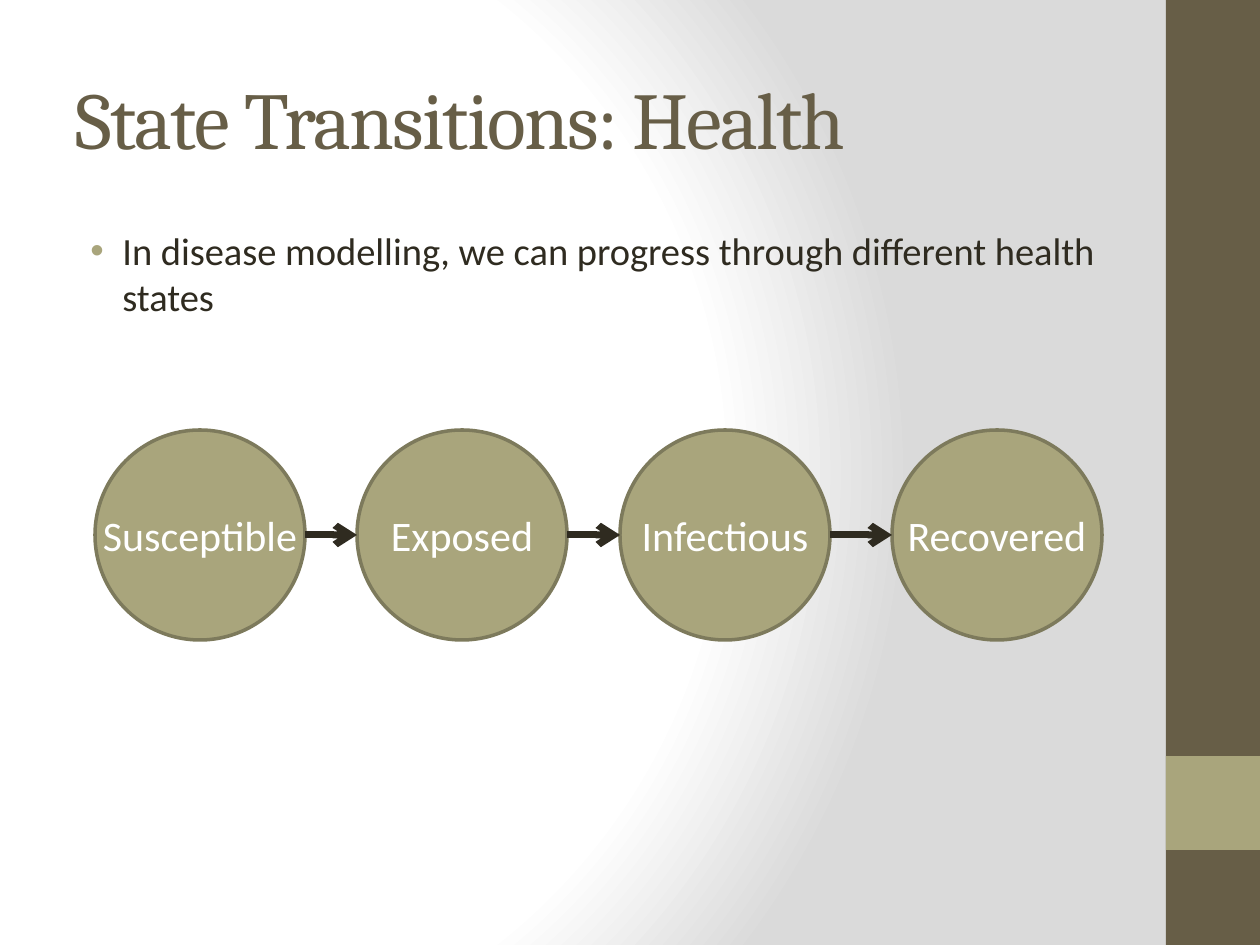
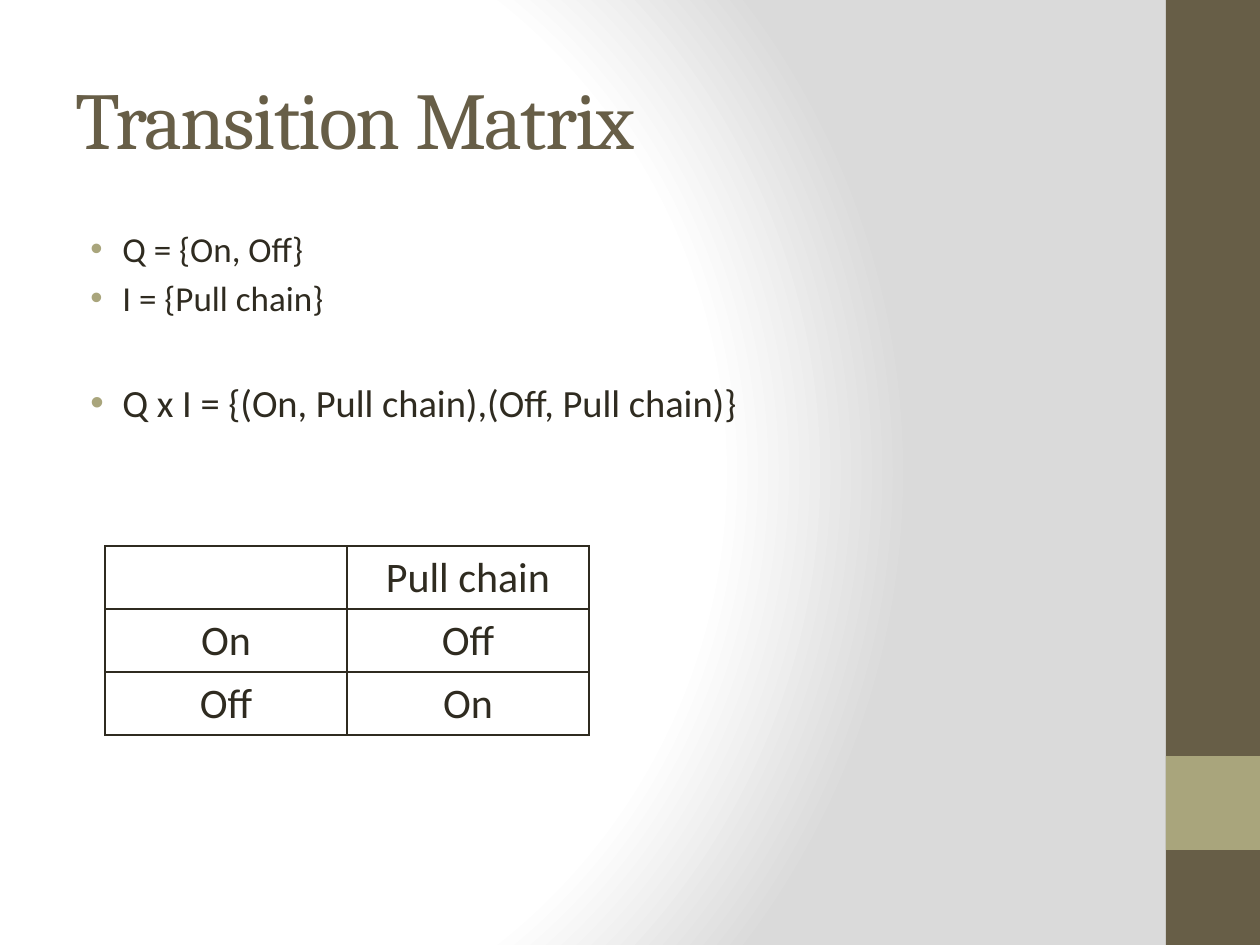
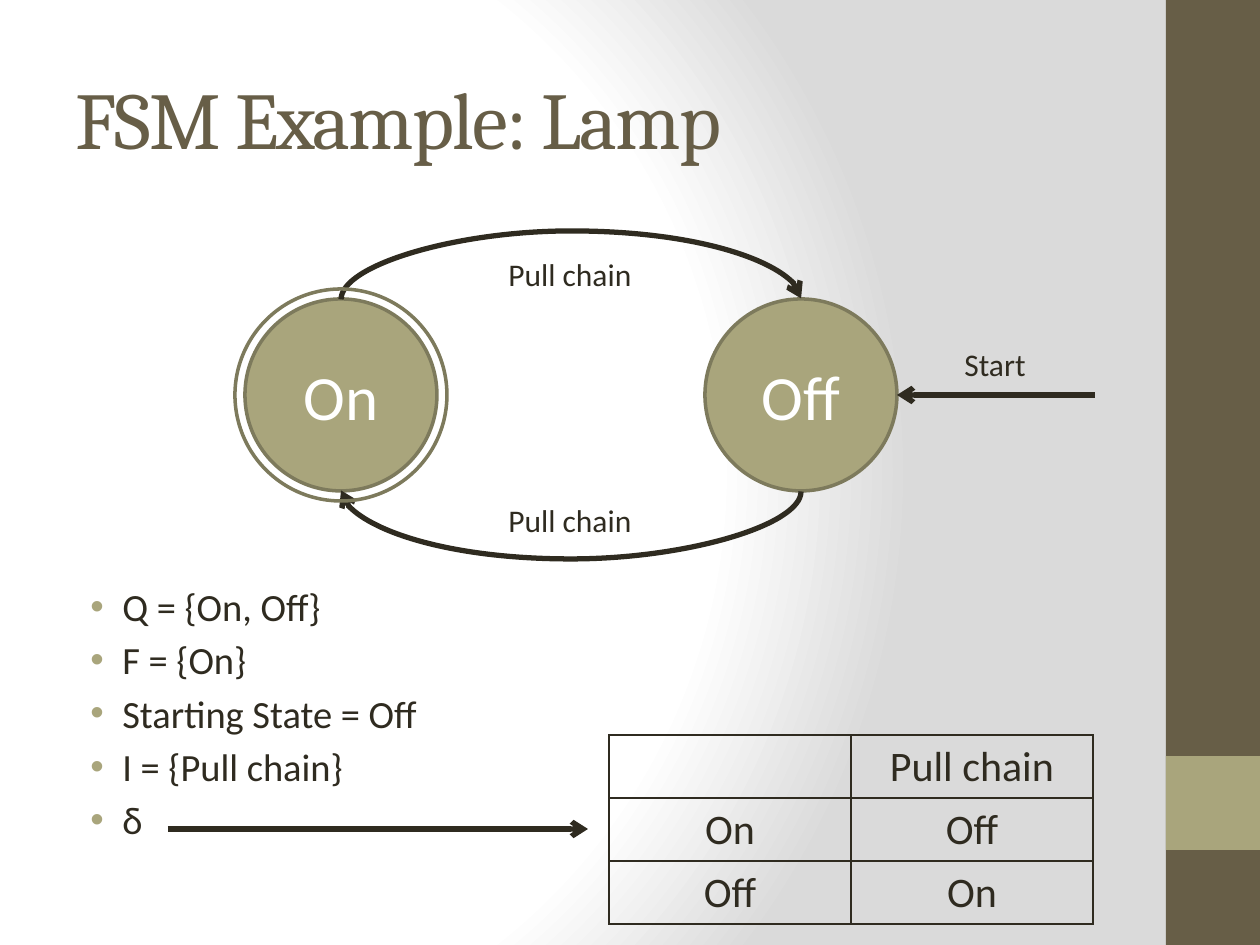
from pptx import Presentation
from pptx.dml.color import RGBColor
from pptx.enum.shapes import MSO_CONNECTOR as CONNECTOR, MSO_SHAPE as SHAPE
from pptx.enum.text import MSO_ANCHOR as ANCHOR, MSO_AUTO_SIZE as AUTO_SIZE, PP_ALIGN as ALIGN
from pptx.oxml import parse_xml
from pptx.oxml.ns import nsdecls, qn
from pptx.util import Emu, Pt

COLORS = {
    "band": "675E47",
    "accent": "A9A57C",
    "outline": "7D7A5C",
    "ink": "2F2B20",
    "white": "FFFFFF",
    "shade": "DADADA",
}
TITLE_FONT, BODY_FONT = "Cambria", "Calibri"
SLIDE_W, SLIDE_H = 1260, 945
BODY_LEFT, BODY_WIDTH = 63, 1050
LAMP_TABLE = [["", "Pull chain"], ["On", "Off"], ["Off", "On"]]


def px(length):
    return Emu(round(length * 914400 / 126))


def box(*lengths):
    return [px(length) for length in lengths]


def rgb(name):
    return RGBColor.from_string(COLORS[name])


def add_xml(parent, xml, index=None):
    """Add one DrawingML element, given without its namespace."""
    tag, rest = xml[1:].split(" ", 1)
    child = parse_xml(f"<{tag} {nsdecls('a')} {rest}")
    parent.insert(len(parent) if index is None else index, child)


def add_run(paragraph, text, size, color="ink", font=BODY_FONT):
    run = paragraph.add_run()
    run.text = text
    run.font.name, run.font.size = font, Pt(size)
    run.font.color.rgb = rgb(color)
    return run


# Shared look

def set_background(master):
    stops = "".join(
        f'<a:gs pos="{pos}000"><a:srgbClr val="{COLORS[name]}"/></a:gs>'
        for pos, name in ((0, "white"), (75, "white"), (100, "shade")))
    common = master.element.cSld
    common.remove(common.find(qn("p:bg")))
    common.insert(0, parse_xml(
        f'<p:bg {nsdecls("p", "a")}><p:bgPr><a:gradFill rotWithShape="1">'
        f'<a:gsLst>{stops}</a:gsLst><a:path path="circle">'
        '<a:fillToRect l="20000" t="50000" r="100000" b="50000"/></a:path>'
        '</a:gradFill><a:effectLst/></p:bgPr></p:bg>'))


def add_bands(slide, master):
    """Draw the side bands, then move them to the master."""
    for index, (top, height, color) in enumerate(
            ((0, SLIDE_H, "band"), (756, 94, "accent")), start=2):
        band = slide.shapes.add_shape(SHAPE.RECTANGLE, *box(1166, top, 94, height))
        band.shadow.inherit = False
        band.fill.solid()
        band.fill.fore_color.rgb = rgb(color)
        band.line.fill.background()
        master.shapes.element.insert(index, band.element)


def add_title_slide(prs, text):
    slide = prs.slides.add_slide(prs.slide_layouts[5])
    title = slide.shapes.title
    title.left, title.top, title.width, title.height = box(63, 38, 1050, 158)
    frame = title.text_frame
    frame.auto_size, frame.vertical_anchor = AUTO_SIZE.NONE, ANCHOR.MIDDLE
    heading = frame.paragraphs[0]
    heading.alignment = ALIGN.LEFT
    run = add_run(heading, text, 46, "band", TITLE_FONT)
    run.font._element.set("spc", "-100")
    return slide


# Kinds of element

def add_bullets(slide, top, height, items):
    """Each item is its text, size and space before in points."""
    frame = slide.shapes.add_textbox(*box(BODY_LEFT, top, BODY_WIDTH, height)).text_frame
    frame.word_wrap = True
    for index, (text, size, space) in enumerate(items):
        bullet = frame.add_paragraph() if index else frame.paragraphs[0]
        bullet.space_before = Pt(space)
        props = bullet._p.get_or_add_pPr()
        props.set("marL", str(px(47)))
        props.set("indent", str(px(-32)))
        add_xml(props, f'<a:buClr ><a:srgbClr val="{COLORS["accent"]}"/></a:buClr>')
        add_xml(props, '<a:buFont typeface="Arial"/>')
        add_xml(props, '<a:buChar char="•"/>')
        add_run(bullet, text, size)


def add_circle(slide, left, top, size):
    circle = slide.shapes.add_shape(SHAPE.OVAL, *box(left, top, size, size))
    circle.shadow.inherit = False
    circle.fill.background()
    circle.line.color.rgb = rgb("outline")
    circle.line.width = Pt(2)
    return circle


def add_state(slide, text, left, top, size, font_size):
    state = add_circle(slide, left, top, size)
    state.fill.solid()
    state.fill.fore_color.rgb = rgb("accent")
    frame = state.text_frame
    frame.margin_left = frame.margin_right = frame.margin_top = frame.margin_bottom = 0
    frame.word_wrap, frame.vertical_anchor = False, ANCHOR.MIDDLE
    frame.paragraphs[0].alignment = ALIGN.CENTER
    add_run(frame.paragraphs[0], text, font_size, "white")


def add_arrow(slide, start, end, width=3, kind=CONNECTOR.STRAIGHT, arrow_end="tailEnd"):
    arrow = slide.shapes.add_connector(kind, *box(*start, *end))
    arrow.line.color.rgb = rgb("ink")
    arrow.line.width = Pt(width)
    props = arrow.element.spPr
    add_xml(props.find(qn("a:ln")), f'<a:{arrow_end} type="arrow"/>')
    add_xml(props, "<a:effectLst />")
    return arrow


def add_arc(slide, left, right, y, bulge, rotation, flips, arrow_end):
    """Bow a one-px-wide curved connector, turned on its side."""
    middle, half = (left + right) / 2, (right - left) / 2
    arc = add_arrow(slide, (middle - 0.5, y - half), (middle + 0.5, y + half),
                    kind=CONNECTOR.CURVE, arrow_end=arrow_end)
    props = arc.element.spPr
    frame = props.find(qn("a:xfrm"))
    frame.set("rot", str(rotation * 60000))
    for flip in flips:
        frame.set(flip, "1")
    geometry = props.find(qn("a:prstGeom"))
    for guides in geometry.findall(qn("a:avLst")):
        geometry.remove(guides)
    add_xml(geometry, f'<a:avLst ><a:gd name="adj1" fmla="val {bulge * 100000}"/></a:avLst>')


def add_label(slide, text, left, top, width):
    frame = slide.shapes.add_textbox(*box(left, top, width, 50)).text_frame
    frame.word_wrap, frame.auto_size = False, AUTO_SIZE.SHAPE_TO_FIT_TEXT
    add_run(frame.paragraphs[0], text, 18)


def add_matrix(slide, left, top, rows):
    matrix = slide.shapes.add_table(
        len(rows), len(rows[0]), *box(left, top, 242 * len(rows[0]), 63 * len(rows))).table
    matrix.first_row = matrix.horz_banding = False
    for r, row in enumerate(rows):
        for c, text in enumerate(row):
            cell = matrix.cell(r, c)
            cell.fill.background()
            props = cell._tc.get_or_add_tcPr()
            for index, side in enumerate("LRTB"):
                add_xml(props, f'<a:ln{side} w="12700"><a:solidFill><a:srgbClr '
                               f'val="{COLORS["ink"]}"/></a:solidFill></a:ln{side}>', index)
            if text:
                entry = cell.text_frame.paragraphs[0]
                entry.alignment = ALIGN.CENTER
                add_run(entry, text, 24)


# Slides

def build_health(slide):
    add_bullets(slide, 221, 661, [
        ("In disease modelling, we can progress through different health states", 22, 4)])
    top, size = 430, 210
    names = ["Susceptible", "Exposed", "Infectious", "Recovered"]
    lefts = [95, 357, 620, 892]
    for name, left in zip(names, lefts):
        add_state(slide, name, left, top, size, 24)
    for left, following in zip(lefts, lefts[1:]):
        y = top + size // 2
        add_arrow(slide, (left + size, y), (following, y), width=4)


def build_matrix(slide):
    add_bullets(slide, 221, 661, [
        ("Q = {On, Off}", 20, 4),
        ("I = {Pull chain}", 20, 4),
        ("Q x I = {(On, Pull chain),(Off, Pull chain)}", 22, 35)])
    add_matrix(slide, 105, 546, LAMP_TABLE)


def build_lamp(slide):
    facts = ["Q = {On, Off}", "F = {On}", "Starting State = Off", "I = {Pull chain}", "δ"]
    add_bullets(slide, 577, 305, [(fact, 22, 4) for fact in facts])

    # State diagram
    on_left, off_left, top, size = 245, 705, 299, 192
    radius, ring_gap = size // 2, 10
    add_state(slide, "On", on_left, top, size, 36)
    add_state(slide, "Off", off_left, top, size, 36)
    on_x, off_x = on_left + radius, off_left + radius
    add_arc(slide, on_x, off_x, top, 69, 90, ("flipH", "flipV"), "tailEnd")
    add_arc(slide, on_x, off_x, top + size, 69, 270, ("flipH",), "headEnd")
    for label_top in (495, 249):
        add_label(slide, "Pull chain", 496, label_top, 150)
    add_circle(slide, on_left - ring_gap, top - ring_gap, size + 2 * ring_gap)
    add_arrow(slide, (1095, top + radius), (off_left + size, top + radius))
    add_label(slide, "Start", 952, 339, 87)

    # Transition function
    add_matrix(slide, 609, 735, LAMP_TABLE)
    add_arrow(slide, (168, 829), (588, 829))


def main():
    prs = Presentation()
    prs.slide_width, prs.slide_height = box(SLIDE_W, SLIDE_H)
    set_background(prs.slide_master)
    health = add_title_slide(prs, "State Transitions: Health")
    add_bands(health, prs.slide_master)
    build_health(health)
    build_matrix(add_title_slide(prs, "Transition Matrix"))
    build_lamp(add_title_slide(prs, "FSM Example: Lamp"))
    prs.save("out.pptx")


if __name__ == "__main__":
    main()
